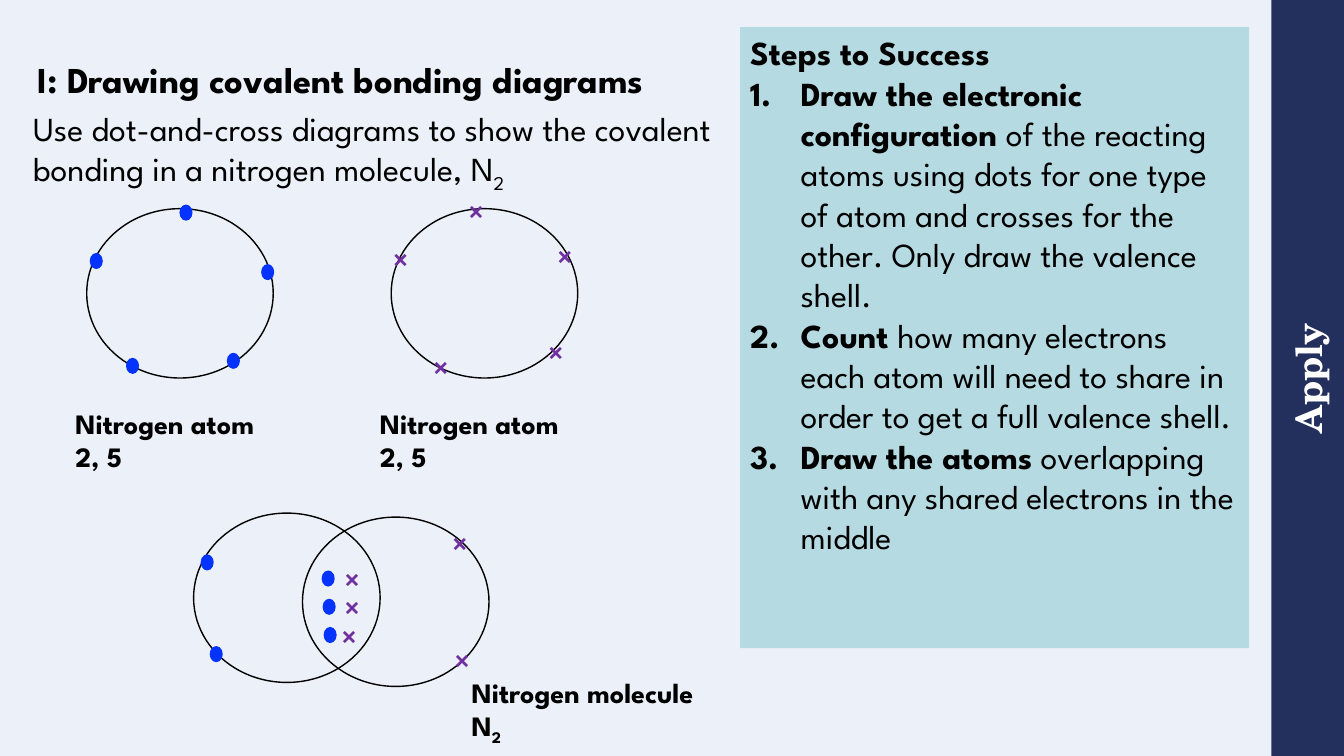
"""Build a slide on dot-and-cross diagrams for a nitrogen molecule."""
import dataclasses

import lxml.etree
import pptx
import pptx.dml.color
import pptx.enum.shapes
import pptx.enum.text
import pptx.oxml.ns
import pptx.util

Inches = pptx.util.Inches
Shapes = pptx.enum.shapes.MSO_SHAPE
Anchor = pptx.enum.text.MSO_ANCHOR
Align = pptx.enum.text.PP_ALIGN
Fit = pptx.enum.text.MSO_AUTO_SIZE


@dataclasses.dataclass(frozen=True)
class Theme:
    sans: str = "League Spartan"
    serif: str = "TeX Gyre Schola"
    page: str = "ECF1F9"
    navy: str = "232F5D"
    teal: str = "009193"
    blue: str = "0432FF"
    plum: str = "7030A0"
    black: str = "000000"
    white: str = "FFFFFF"
    head: int = 26
    body: int = 24
    label: int = 20


theme = Theme()


def write(frame, lines, size, color=theme.black, face=theme.sans, **form):
    """Fill a frame with lines of (text, marks) runs: b is bold, s is subscript."""
    for name, value in form.items():
        setattr(frame, name, value)
    for index, line in enumerate(lines):
        para = frame.add_paragraph() if index else frame.paragraphs[0]
        for text, marks in line:
            run = para.add_run()
            run.text = text
            look = {"name": face, "size": pptx.util.Pt(size), "bold": "b" in marks}
            for name, value in look.items():
                setattr(run.font, name, value)
            run.font.color.rgb = pptx.dml.color.RGBColor.from_string(color)
            if "s" in marks:
                run.font._element.set("baseline", "-25000")


def draw(kind, box, fill=None, edge=None):
    """Add a preset shape with a plain fill or a thin edge."""
    shape = slide.shapes.add_shape(kind, *map(Inches, box))
    shape.shadow.inherit = False
    if fill:
        shape.fill.solid()
        shape.fill.fore_color.rgb = pptx.dml.color.RGBColor.from_string(fill)
    else:
        shape.fill.background()
    if edge:
        shape.line.color.rgb = pptx.dml.color.RGBColor.from_string(edge)
        shape.line.width = pptx.util.Pt(1)
    else:
        shape.line.fill.background()
    return shape


deck = pptx.Presentation()
deck.slide_width, deck.slide_height = Inches(13.33), Inches(7.5)
slide = deck.slides.add_slide(deck.slide_layouts[1])
slide.background.fill.solid()
slide.background.fill.fore_color.rgb = pptx.dml.color.RGBColor.from_string(theme.page)

flush = {f"margin_{side}": 0 for side in ("left", "top", "right", "bottom")}

side = draw(Shapes.RECTANGLE, (9.22, 3.39, 7.5, 0.72), theme.navy)
side.rotation = 270
write(side.text_frame, [[("Apply", "b")]], theme.head, theme.white, theme.serif,
      vertical_anchor=Anchor.MIDDLE, **flush)
side.text_frame.paragraphs[0].alignment = Align.CENTER

title, steps = slide.placeholders
spots = [(title, (0.37, 0.22, 6.62, 0.79)), (steps, (7.34, 0.27, 5.05, 6.16))]
for holder, box in spots:
    for name, value in zip(("left", "top", "width", "height"), box):
        setattr(holder, name, Inches(value))

write(title.text_frame, [[("I: Drawing covalent bonding diagrams", "b")]], theme.head,
      vertical_anchor=Anchor.BOTTOM, auto_size=Fit.NONE, **flush)
for name, value in {"alignment": Align.LEFT, "line_spacing": 0.9}.items():
    setattr(title.text_frame.paragraphs[0], name, value)

steps.fill.solid()
steps.fill.fore_color.rgb = pptx.dml.color.RGBColor.from_string(theme.teal)
tint = steps._element.spPr.find(".//" + pptx.oxml.ns.qn("a:srgbClr"))
lxml.etree.SubElement(tint, pptx.oxml.ns.qn("a:alpha"), val="23000")
write(steps.text_frame, [
    [("Steps to Success", "b")],
    [("Draw the electronic configuration ", "b"),
     ("of the reacting atoms using dots for one type of atom and crosses for the other. "
      "Only draw the valence shell.", "")],
    [("Count ", "b"),
     ("how many electrons each atom will need to share in order to get a full valence shell.", "")],
    [("Draw the atoms", "b"), (" overlapping with any shared electrons in the middle", "")],
], theme.body, auto_size=Fit.NONE, word_wrap=True)
for index, para in enumerate(steps.text_frame.paragraphs):
    para.space_before = pptx.util.Pt(0)
    props = para._p.get_or_add_pPr()
    indent = Inches(0.5) if index else 0
    props.set("marL", str(indent))
    props.set("indent", str(-indent))
    if index:
        lxml.etree.SubElement(props, pptx.oxml.ns.qn("a:buAutoNum"), type="arabicPeriod")
    else:
        lxml.etree.SubElement(props, pptx.oxml.ns.qn("a:buNone"))

task = slide.shapes.add_textbox(*map(Inches, (0.23, 1.02, 6.98, 1.31)))
write(task.text_frame, [[
    ("Use dot-and-cross diagrams to show the covalent bonding in a nitrogen molecule, N", ""),
    ("2", "s"),
]], theme.body, word_wrap=True)

for left, top in [(0.86, 2.07), (3.88, 2.07), (1.92, 5.09), (3, 5.13)]:
    draw(Shapes.OVAL, (left, top, 1.85, 1.68), edge=theme.black)

dots = [
    (0.89, 2.51), (1.78, 2.03), (2.25, 3.5), (1.25, 3.55), (2.59, 2.62),
    (1.99, 5.5), (2.08, 6.41), (3.19, 5.66), (3.2, 5.94), (3.21, 6.22),
]
for left, top in dots:
    draw(Shapes.OVAL, (left, top, 0.13, 0.16), theme.blue)

crosses = [
    (4.54, 1.85), (5.42, 2.3), (3.79, 2.33), (4.19, 3.4), (5.33, 3.25),
    (3.31, 5.5), (3.31, 5.78), (3.28, 6.07), (4.38, 5.14), (4.4, 6.31),
]
for left, top in crosses:
    cross = slide.shapes.add_textbox(*map(Inches, (left, top, 0.4, 0.44)))
    write(cross.text_frame, [[("×", "b")]], theme.label, theme.plum, theme.serif,
          word_wrap=False, auto_size=Fit.SHAPE_TO_FIT_TEXT)

atom = [[("Nitrogen atom", "b")], [("2, 5", "b")]]
pair = [[("Nitrogen molecule", "b")], [("N", "b"), ("2", "bs")]]
labels = [(0.65, 3.98, 2.15, atom), (3.67, 3.98, 2.15, atom), (4.58, 6.65, 2.72, pair)]
for left, top, width, lines in labels:
    label = slide.shapes.add_textbox(*map(Inches, (left, top, width, 0.77)))
    write(label.text_frame, lines, theme.label,
          word_wrap=False, auto_size=Fit.SHAPE_TO_FIT_TEXT)

deck.save("out.pptx")
